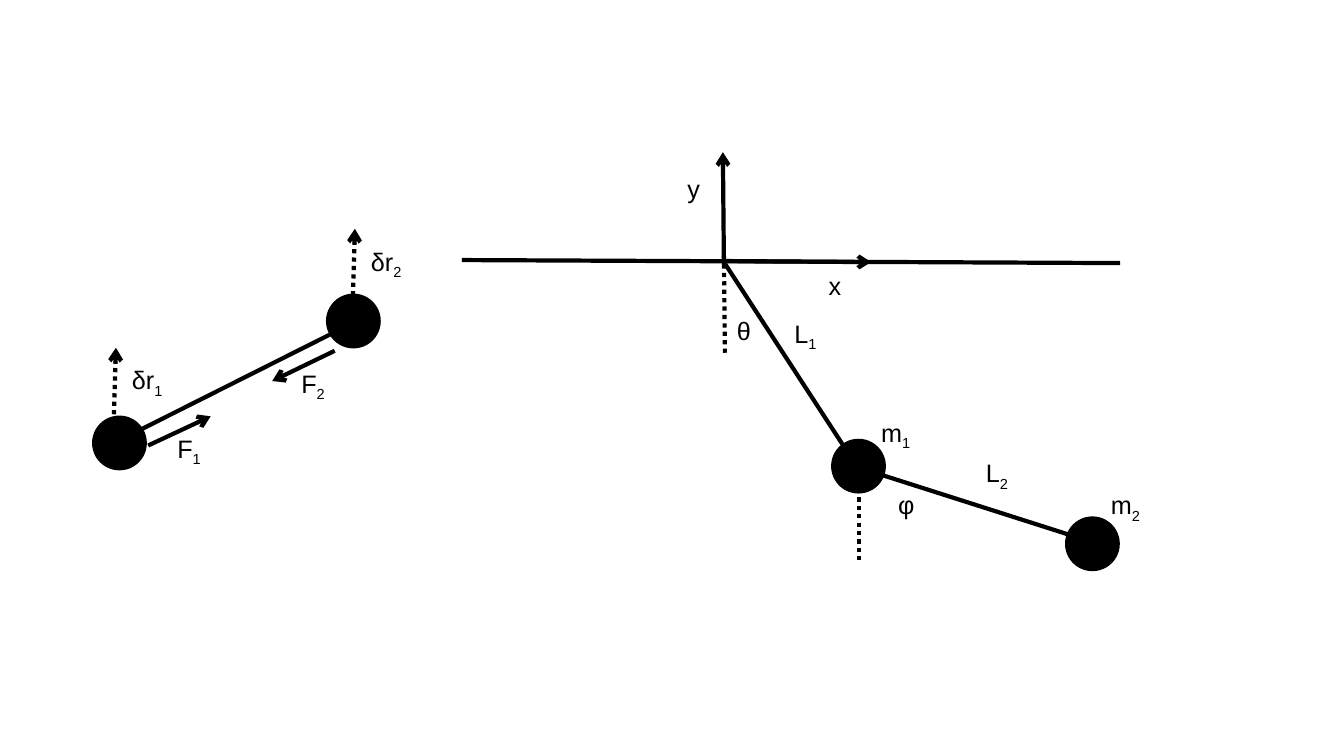
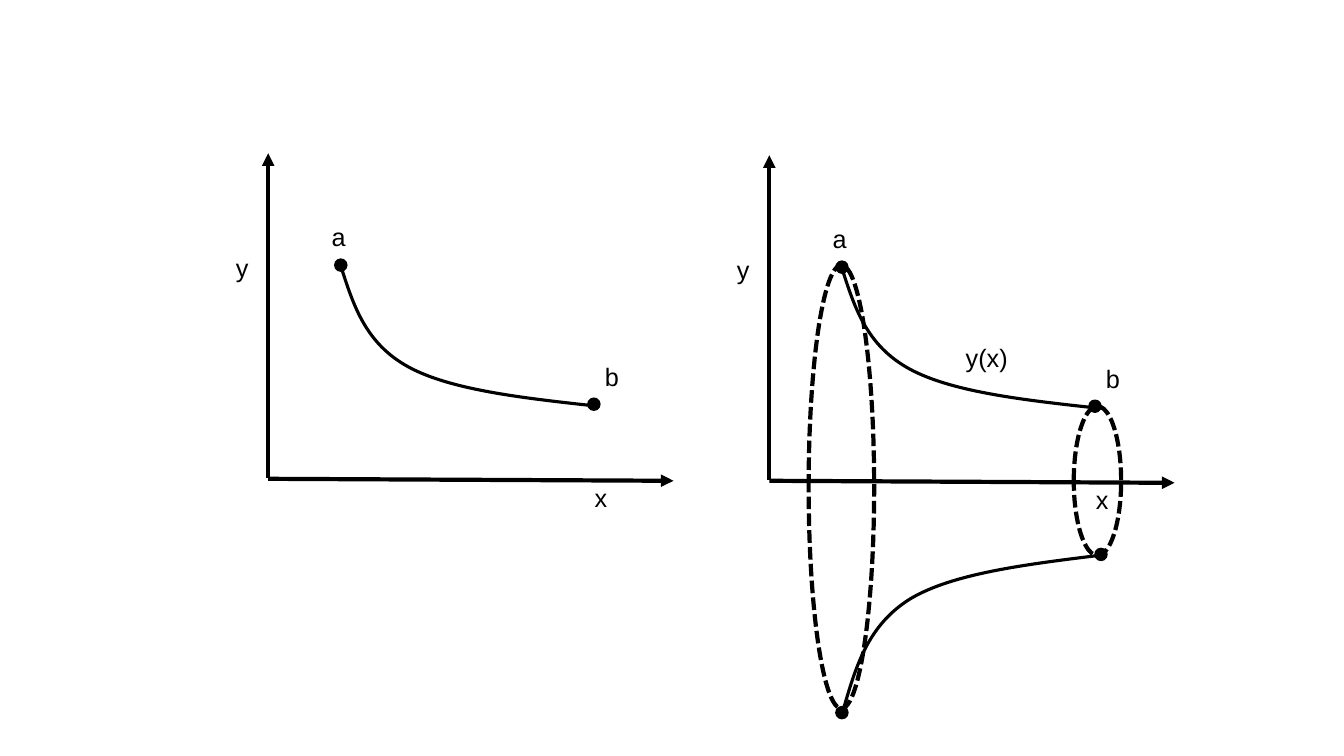
from lxml.etree import SubElement
from pptx import Presentation
from pptx.dml.color import RGBColor
from pptx.enum.dml import MSO_LINE as DASH
from pptx.enum.shapes import MSO_CONNECTOR as CONN, MSO_SHAPE as SHAPE
from pptx.enum.text import MSO_AUTO_SIZE as FIT
from pptx.oxml.ns import qn
from pptx.util import Inches, Pt

INK = "000000"
TEXT = {"name": "Arial", "size": Pt(18)}
STROKE = {"width": Pt(3)}
DOTTED = {"width": Pt(3), "dash_style": DASH.ROUND_DOT}
DASHED = {"width": Pt(3), "dash_style": DASH.SQUARE_DOT}
OUTLINE = {"width": Pt(1)}
CURVE = {"width": Pt(2.25)}
MASS, POINT = 0.53, 0.12


def color(hex_value):
    """Turn a hex string into a colour."""
    return RGBColor.from_string(hex_value)


def style(target, values):
    """Set every value of a dict on a font or a line, in ink."""
    for name, value in values.items():
        setattr(target, name, value)
    (target.color if hasattr(target, "dash_style")
     else target.color).rgb = color(INK)


class Sketch:
    """Draws diagram parts into the current figure group."""

    def __init__(self, prs):
        """Keep the presentation."""
        self.prs = prs

    def slide(self):
        """Start an empty slide."""
        self.s = self.prs.slides.add_slide(self.prs.slide_layouts[6])

    def figure(self):
        """Start a group for one figure."""
        self.shapes = self.s.shapes.add_group_shape().shapes

    def line(self, start, end, values=STROKE, arrow=None):
        """Draw a straight line, with an arrowhead at its end if named."""
        ends = [Inches(v) for v in (*start, *end)]
        sp = self.shapes.add_connector(CONN.STRAIGHT, *ends)
        style(sp.line, values)
        props = sp.element.spPr
        if arrow:
            SubElement(props.find(qn("a:ln")), qn("a:tailEnd"), type=arrow)
        SubElement(props, qn("a:effectLst"))

    def ellipse(self, x, y, w, h, values, filled=False):
        """Draw an ellipse, open or filled."""
        sp = self.shapes.add_shape(SHAPE.OVAL, *map(Inches, (x, y, w, h)))
        sp.shadow.inherit = False
        style(sp.line, values)
        if filled:
            sp.fill.solid()
            sp.fill.fore_color.rgb = color(INK)
        else:
            sp.fill.background()

    def dot(self, x, y, size):
        """Draw a filled disc from its top left corner."""
        self.ellipse(x, y, size, size, OUTLINE, filled=True)

    def label(self, x, y, w, text, sub=""):
        """Write a label with an optional subscript."""
        sp = self.shapes.add_textbox(*map(Inches, (x, y, w, 0.4)))
        tf = sp.text_frame
        tf.word_wrap = False
        tf.auto_size = FIT.SHAPE_TO_FIT_TEXT
        p = tf.paragraphs[0]
        for part in filter(None, (text, sub)):
            r = p.add_run()
            r.text = part
            style(r.font, TEXT)
        if sub:
            list(sp.element.iter(qn("a:rPr")))[-1].set("baseline", "-25000")

    def curve(self, start, *controls):
        """Draw cubic curves: three control points for each segment."""
        points = [tuple(map(Inches, pt)) for pt in controls]
        builder = self.shapes.build_freeform(*map(Inches, start))
        builder.add_line_segments(points, close=False)
        sp = builder.convert_to_shape()
        sp.shadow.inherit = False
        sp.fill.background()
        style(sp.line, CURVE)
        path = next(sp.element.iter(qn("a:path")))
        steps = path.findall(qn("a:lnTo"))
        for i in range(0, len(steps), 3):
            bezier = SubElement(path, qn("a:cubicBezTo"))
            for step in steps[i:i + 3]:
                bezier.append(step[0])
                path.remove(step)

    def plot(self, dx=0, dy=0):
        """Draw the axes and the curve from a to b, shifted."""
        def at(x, y):
            """Shift a point."""
            return x + dx, y + dy

        self.line(at(2.66, 4.75), at(6.68, 4.77), arrow="triangle")
        self.line(at(2.66, 4.74), at(2.66, 1.52), arrow="triangle")
        for x, y, w, text in ((2.24, 2.45, 0.33, "y"), (5.8, 4.74, 0.33, "x"),
                              (3.19, 2.15, 0.34, "a"), (5.9, 3.54, 0.34, "b")):
            self.label(*at(x, y), w, text)
        for x, y in ((3.32, 2.57), (5.83, 3.95)):
            self.dot(*at(x, y), POINT)
        self.curve(at(3.39, 2.67), at(3.51, 3.04), at(3.63, 3.41),
                   at(4.05, 3.64), at(4.47, 3.87), at(5.19, 3.95),
                   at(5.92, 4.03))


def pendulum_slide(sk):
    """Build the rod with its forces and the double pendulum."""
    sk.slide()
    sk.figure()
    sk.line((1.36, 4.28), (3.33, 3.29))
    for i, (x, y) in enumerate(((0.92, 4.13), (3.24, 2.92)), 1):
        sk.dot(x, y, MASS)
    for i, (x, y) in enumerate(((1.13, 4.11), (3.5, 2.93)), 1):
        sk.line((x, y), (x + 0.02, y - 0.66), DOTTED, "arrow")
        sk.label(x + 0.08, y - 0.54, 0.52, "δr", str(i))
    sk.line((1.47, 4.42), (2.09, 4.13), arrow="arrow")
    sk.line((3.32, 3.48), (2.7, 3.78), arrow="arrow")
    sk.label(1.66, 4.25, 0.45, "F", "1")
    sk.label(2.89, 3.6, 0.45, "F", "2")

    sk.figure()
    sk.line((4.58, 2.58), (11.11, 2.61))
    for x, y in ((8.25, 4.36), (10.57, 5.13)):
        sk.dot(x, y, MASS)
    sk.line((7.18, 2.59), (8.64, 2.6), arrow="arrow")
    sk.line((7.18, 2.63), (7.17, 1.51), arrow="arrow")
    sk.line((7.18, 2.6), (8.52, 4.66))
    sk.line((8.52, 4.64), (10.84, 5.38))
    sk.line((7.18, 2.54), (7.19, 3.51), DOTTED)
    sk.line((8.52, 4.6), (8.52, 5.58), DOTTED)
    for label in ((7.78, 3.11, 0.44, "L", "1"), (9.68, 4.49, 0.44, "L", "2"),
                  (8.64, 4.09, 0.51, "m", "1"), (10.92, 4.81, 0.51, "m", "2"),
                  (8.12, 2.63, 0.33, "x"), (6.72, 1.67, 0.33, "y"),
                  (7.21, 3.08, 0.34, "θ"), (8.81, 4.81, 0.36, "φ")):
        sk.label(*label)


def revolution_slide(sk):
    """Build the curve and its surface of revolution."""
    sk.slide()
    sk.figure()
    sk.plot()

    sk.figure()
    sk.ellipse(8.02, 2.63, 0.65, 4.4, DASHED)
    sk.plot(4.97, 0.02)
    sk.ellipse(10.65, 4.03, 0.47, 1.48, DASHED)
    sk.curve((8.37, 7.02), (8.49, 6.61), (8.61, 6.2), (9.03, 5.94),
             (9.45, 5.69), (10.17, 5.6), (10.9, 5.51))
    for x, y in ((8.29, 7.01), (10.86, 5.44)):
        sk.dot(x, y, POINT)
    sk.label(9.48, 3.35, 0.62, "y(x)")


prs = Presentation()
prs.slide_width, prs.slide_height = Inches(13.33), Inches(7.5)
sk = Sketch(prs)
pendulum_slide(sk)
revolution_slide(sk)
prs.save("out.pptx")
